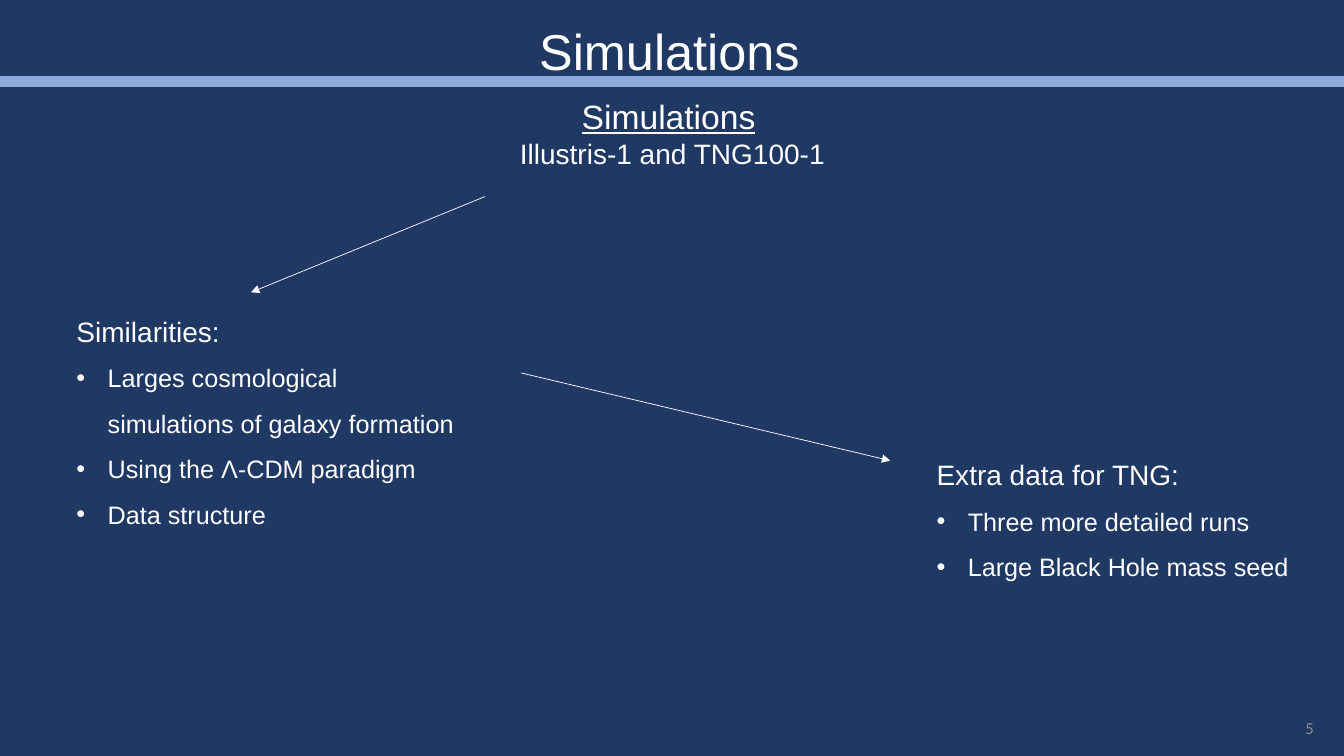
import pptx
import pptx.util
import pptx.dml.color
import pptx.enum.shapes
import pptx.enum.text
import pptx.oxml.ns
from dataclasses import dataclass
from lxml import etree
from pptx.util import Inches, Pt

Align = pptx.enum.text.PP_ALIGN
Anchor = pptx.enum.text.MSO_ANCHOR


@dataclass(frozen=True)
class Theme:
    background: str = "203864"
    band: str = "8FAADC"
    ink: str = "FFFFFF"
    muted: str = "8C8C8C"
    font: str = "Arial"
    number_font: str = "Calibri"
    title: int = 36
    heading: int = 24
    lead: int = 20
    bullet: int = 18
    number: int = 12


THEME = Theme()

# Content: boxes are left, top, width, height in inches
TITLE = ("Simulations", (5.25, 0.15, 2.83, 0.71))
TOPIC = ("Simulations", "Illustris-1 and TNG100-1", (4.22, 0.9, 4.9, 1.18))
PAGE_NUMBER = ("5", (10.13, 7.02, 3, 0.4))
BAND = (0, 0.76, 13.33, 0.1)
LISTS = [
    ("Similarities:",
     ["Larges cosmological simulations of galaxy formation",
      "Using the Λ-CDM paradigm",
      "Data structure"],
     (0.66, 2.9, 3.98, 2.37)),
    ("Extra data for TNG:",
     ["Three more detailed runs", "Large Black Hole mass seed"],
     (9.19, 4.32, 3.75, 1.82)),
]
ARROWS = [((4.81, 1.95), (2.49, 2.9)), ((5.17, 3.7), (8.83, 4.57))]
BULLET_INDENT = 0.31


def color(value):
    return pptx.dml.color.RGBColor.from_string(value)


def add_child(parent, tag, **attributes):
    return etree.SubElement(parent, pptx.oxml.ns.qn(tag), attributes)


def style(font, size, name=THEME.font, ink=THEME.ink):
    font.size, font.name = Pt(size), name
    font.color.rgb = color(ink)


def add_text(slide, box, lines, anchor=Anchor.TOP):
    """Add a text box from (text, size) lines; return its paragraphs."""
    frame = slide.shapes.add_textbox(*map(Inches, box)).text_frame
    frame.word_wrap = True
    frame.vertical_anchor = anchor
    for index, (text, size) in enumerate(lines):
        paragraph = frame.add_paragraph() if index else frame.paragraphs[0]
        paragraph.add_run().text = text
        style(paragraph.font, size)
    return frame.paragraphs


def add_list(slide, heading, items, box):
    lines = [(heading, THEME.lead)] + [(item, THEME.bullet) for item in items]
    paragraphs = add_text(slide, box, lines)
    for paragraph in paragraphs:
        paragraph.line_spacing = 1.5
    for paragraph in paragraphs[1:]:
        properties = paragraph._p.get_or_add_pPr()
        properties.set("marL", str(Inches(BULLET_INDENT)))
        properties.set("indent", str(-Inches(BULLET_INDENT)))
        bullet_font = etree.Element(pptx.oxml.ns.qn("a:buFont"), typeface="Arial")
        bullet = etree.Element(pptx.oxml.ns.qn("a:buChar"), char="•")
        # Bullets belong after the line spacing and before the run defaults
        properties[0].addnext(bullet_font)
        bullet_font.addnext(bullet)


def add_arrow(slide, start, end):
    arrow = slide.shapes.add_connector(
        pptx.enum.shapes.MSO_CONNECTOR.STRAIGHT, *map(Inches, start + end))
    arrow.line.color.rgb = color(THEME.ink)
    arrow.line.width = Pt(0.5)
    add_child(arrow.line._get_or_add_ln(), "a:tailEnd", type="triangle")
    add_child(arrow._element.spPr, "a:effectLst")


def main():
    presentation = pptx.Presentation()
    presentation.slide_width, presentation.slide_height = Inches(13.33), Inches(7.5)
    slide = presentation.slides.add_slide(presentation.slide_layouts[6])
    slide.background.fill.solid()
    slide.background.fill.fore_color.rgb = color(THEME.background)

    # Page number
    text, box = PAGE_NUMBER
    number = add_text(slide, box, [(text, THEME.number)], Anchor.MIDDLE)[0]
    number.alignment = Align.RIGHT
    style(number.font, THEME.number, THEME.number_font, THEME.muted)

    # Band and title
    band = slide.shapes.add_shape(
        pptx.enum.shapes.MSO_SHAPE.RECTANGLE, *map(Inches, BAND))
    band.shadow.inherit = False
    band.fill.solid()
    band.fill.fore_color.rgb = band.line.color.rgb = color(THEME.band)
    band.line.width = Pt(1)
    text, box = TITLE
    add_text(slide, box, [(text, THEME.title)])

    # Topic
    heading, names, box = TOPIC
    topic = add_text(slide, box, [(heading, THEME.heading), (names, THEME.lead)])
    for paragraph in topic:
        paragraph.alignment = Align.CENTER
    topic[0].runs[0].font.underline = True
    space = topic[0].add_run()
    space.text = " "
    space.font.size = Pt(THEME.lead)

    # Lists and arrows
    for heading, items, box in LISTS:
        add_list(slide, heading, items, box)
    for start, end in ARROWS:
        add_arrow(slide, start, end)

    presentation.save("out.pptx")


if __name__ == "__main__":
    main()
